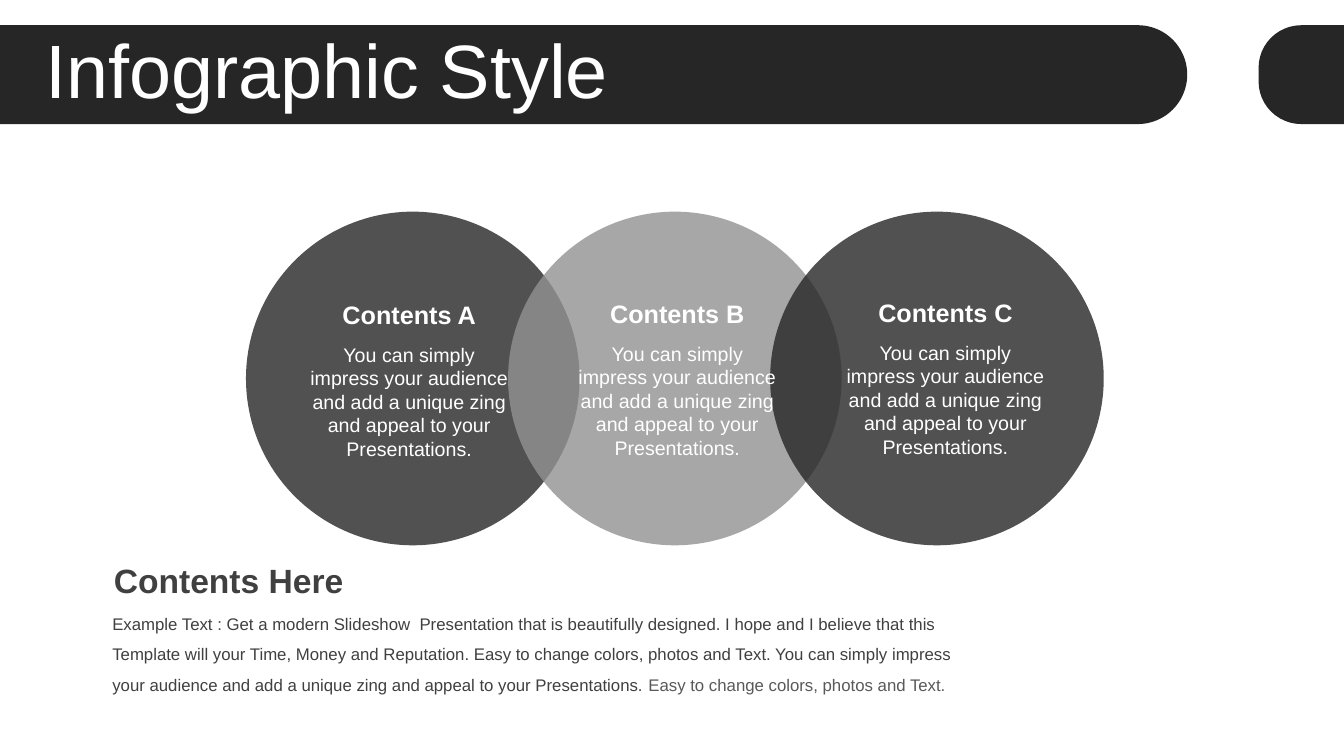
from lxml import etree
from pptx import Presentation
from pptx.dml.color import RGBColor
from pptx.enum.shapes import MSO_SHAPE
from pptx.enum.text import MSO_ANCHOR, PP_ALIGN
from pptx.oxml.ns import qn
from pptx.util import Pt

ROUND_END = MSO_SHAPE.ROUND_2_SAME_RECTANGLE
OVAL = MSO_SHAPE.OVAL
LEFT, CENTER = PP_ALIGN.LEFT, PP_ALIGN.CENTER
TOP, MIDDLE = MSO_ANCHOR.TOP, MSO_ANCHOR.MIDDLE

COLORS = {
    "dark": "262626",
    "gray": "929292",
    "white": "FFFFFF",
    "text": "404040",
    "soft": "595959",
}
FONT = "Arial"
PAGE_WIDTH, PAGE_HEIGHT = 960, 540
BAR_TOP, BAR_HEIGHT = 18, 70.6
CIRCLE_LEFT, CIRCLE_TOP, CIRCLE_SIZE, CIRCLE_STEP = 175.7, 151.2, 238.3, 187.2
LABEL_LEFT, LABEL_TOP, LABEL_WIDTH = 213.8, 210.2, 157
LABEL_STEP, LABEL_RISE = 191.5, 0.7

CIRCLES = [("Contents A", "dark"), ("Contents B", "gray"), ("Contents C", "dark")]
CIRCLE_TEXT = (
    "You can simply impress your audience and add a unique zing "
    "and appeal to your Presentations."
)
EXAMPLE_TEXT = (
    "Example Text : Get a modern Slideshow  Presentation that is beautifully "
    "designed. I hope and I believe that this Template will your Time, Money and "
    "Reputation. Easy to change colors, photos and Text. You can simply impress your "
    "audience and add a unique zing and appeal to your Presentations. "
)
EXAMPLE_END = "Easy to change colors, photos and Text."


def add_filled(page, kind, left, top, width, height, color):
    shape = page.shapes.add_shape(kind, Pt(left), Pt(top), Pt(width), Pt(height))
    shape.shadow.inherit = False
    shape.fill.solid()
    shape.fill.fore_color.rgb = RGBColor.from_string(COLORS[color])
    shape.line.fill.background()
    return shape


def add_bar(page, left, right, rotation):
    length = right - left
    shift = (length - BAR_HEIGHT) / 2
    bar = add_filled(
        page, ROUND_END, left + shift, BAR_TOP - shift, BAR_HEIGHT, length, "dark"
    )
    bar.adjustments[0] = 0.5
    bar.rotation = rotation


def add_circle(page, left, color):
    circle = add_filled(page, OVAL, left, CIRCLE_TOP, CIRCLE_SIZE, CIRCLE_SIZE, color)
    fill_color = circle.fill._xPr.find(qn("a:solidFill"))[0]
    etree.SubElement(fill_color, qn("a:alpha")).set("val", "80000")


def add_span(para, text, size, color, bold=False):
    span = para.add_run()
    span.text = text
    span.font.name = FONT
    span.font.size = Pt(size)
    span.font.bold = bold
    span.font.color.rgb = RGBColor.from_string(COLORS[color])


def add_text(page, text, left, top, width, height, size, color="white", bold=False,
             align=LEFT, anchor=TOP, spacing=1.0, inset=7.2):
    box = page.shapes.add_textbox(Pt(left), Pt(top), Pt(width), Pt(height))
    frame = box.text_frame
    frame.word_wrap = True
    frame.vertical_anchor = anchor
    frame.margin_left = frame.margin_right = Pt(inset)
    frame.margin_top = frame.margin_bottom = Pt(3.6)
    para = frame.paragraphs[0]
    para.alignment = align
    para.line_spacing = spacing
    add_span(para, text, size, color, bold)
    return para


def add_label(page, heading, left, top):
    add_text(page, CIRCLE_TEXT, left, top + 31, LABEL_WIDTH, 92, 14,
             align=CENTER, inset=6)
    add_text(page, heading, left, top, LABEL_WIDTH, 29, 18, bold=True, align=CENTER)


def main():
    deck = Presentation()
    deck.slide_width, deck.slide_height = Pt(PAGE_WIDTH), Pt(PAGE_HEIGHT)
    page = deck.slides.add_slide(deck.slide_layouts[6])

    add_bar(page, 0, 848, 90)
    add_bar(page, 899, PAGE_WIDTH, 270)
    add_text(page, "Infographic Style", 25.2, 24.5, 911.5, 57, 54,
             anchor=MIDDLE, spacing=0.9)

    for index, (heading, color) in enumerate(CIRCLES):
        add_circle(page, CIRCLE_LEFT + index * CIRCLE_STEP, color)
    for index, (heading, color) in enumerate(CIRCLES):
        add_label(page, heading, LABEL_LEFT + index * LABEL_STEP,
                  LABEL_TOP - index * LABEL_RISE)

    example = add_text(page, EXAMPLE_TEXT, 74.2, 427.7, 619, 70, 12, color="text",
                       spacing=1.5, inset=6)
    add_span(example, EXAMPLE_END, 12, "soft")
    add_text(page, "Contents Here", 74.2, 396.7, 619, 36, 24, color="text", bold=True)

    deck.save("out.pptx")


if __name__ == "__main__":
    main()
